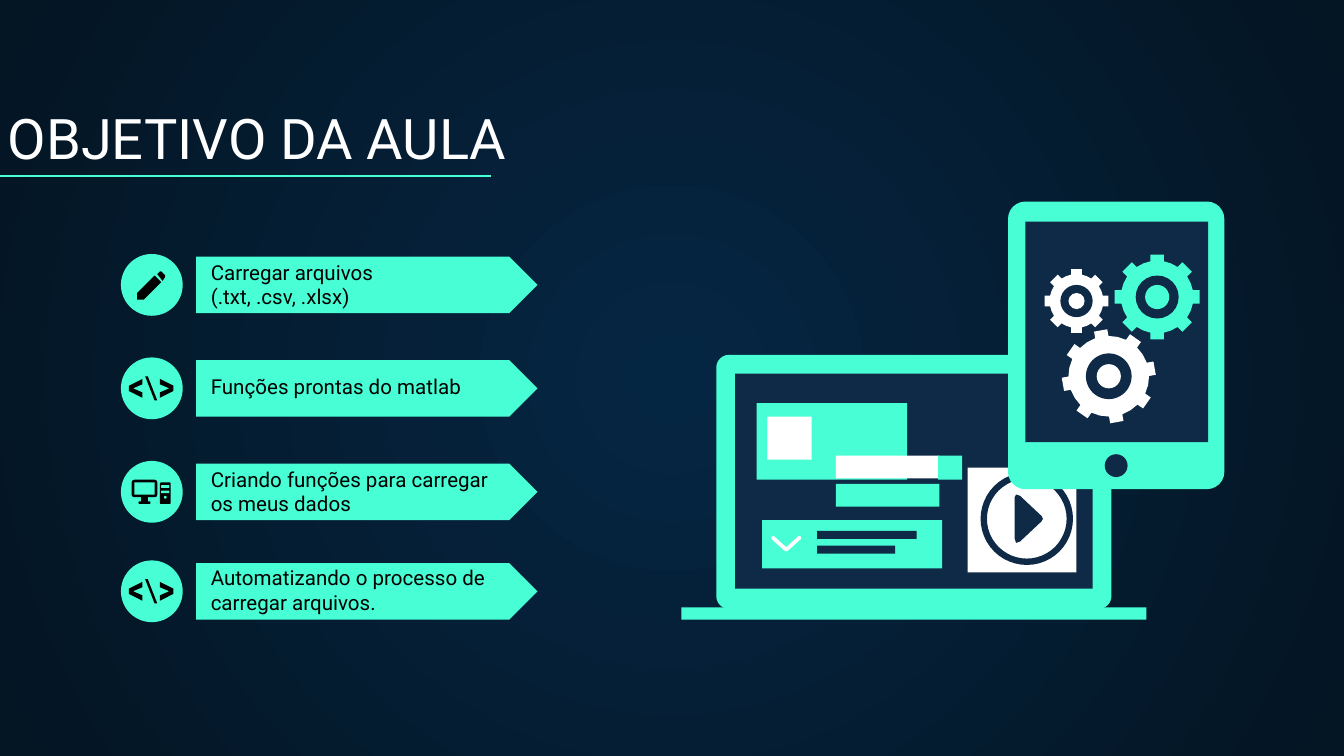
"""Build the lesson-goals slide with a laptop and tablet illustration."""
import math

import lxml.etree
import pptx
import pptx.dml.color
import pptx.enum.shapes
import pptx.enum.text
import pptx.oxml.ns
import pptx.util

Inches = pptx.util.Inches
Pt = pptx.util.Pt
RGBColor = pptx.dml.color.RGBColor
KIND = pptx.enum.shapes.MSO_SHAPE
qn = pptx.oxml.ns.qn

COLORS = {
    "mint": "48FFD5",
    "navy": "0E2A47",
    "white": "FFFFFF",
    "black": "000000",
    "center": "052643",
    "edge": "041523",
}
COLORS = {name: RGBColor.from_string(value) for name, value in COLORS.items()}

presentation = pptx.Presentation()
presentation.slide_width = Inches(10)
presentation.slide_height = Inches(10) * 9 // 16
slide = presentation.slides.add_slide(presentation.slide_layouts[6])

background = slide.background.fill
background.gradient()
for stop, name in zip(background.gradient_stops, ("center", "edge")):
    stop.color.rgb = COLORS[name]
gradient = slide.element.find(".//" + qn("a:gradFill"))
gradient.remove(gradient.find(qn("a:lin")))
circle_path = lxml.etree.SubElement(gradient, qn("a:path"), path="circle")
lxml.etree.SubElement(circle_path, qn("a:fillToRect"), l="50000", t="50000", r="50000", b="50000")


def draw(color, geometry, kind=None, corner=None, closed=True):
    """Draw a preset in a box, or a freeform through points when no kind is given."""
    if kind is None:
        points = [(Inches(x), Inches(y)) for x, y in geometry]
        builder = slide.shapes.build_freeform(*points[0])
        builder.add_line_segments(points[1:], close=closed)
        shape = builder.convert_to_shape()
    else:
        shape = slide.shapes.add_shape(kind, *map(Inches, geometry))
    if corner is not None:
        shape.adjustments[0] = corner
    shape.shadow.inherit = False
    shape.fill.solid()
    shape.fill.fore_color.rgb = COLORS[color]
    shape.line.fill.background()
    return shape


def write(text, box, size, color):
    """Add a bottom-anchored text box."""
    text_frame = slide.shapes.add_textbox(*map(Inches, box)).text_frame
    text_frame.word_wrap = True
    text_frame.vertical_anchor = pptx.enum.text.MSO_ANCHOR.BOTTOM
    text_frame.margin_left = text_frame.margin_right = Inches(0.1)
    text_frame.margin_top = text_frame.margin_bottom = Inches(0.1)
    text_frame.text = text
    for run in text_frame.paragraphs[0].runs:
        run.font.name = "Roboto"
        run.font.size = Pt(size)
        run.font.color.rgb = COLORS[color]


write("OBJETIVO DA AULA", (-0.04, 0.71, 8.57, 0.66), 30, "white")
underline = slide.shapes.add_connector(
    pptx.enum.shapes.MSO_CONNECTOR.STRAIGHT, Inches(0), Inches(1.31), Inches(3.65), Inches(1.31)
)
underline.line.color.rgb = COLORS["mint"]
underline.line.width = Pt(0.75)
lxml.etree.SubElement(underline.element.spPr, qn("a:effectLst"))

goals = [
    (1.91, "Carregar arquivos \v(.txt, .csv, .xlsx)", 2.19, 2.52),
    (2.68, "Funções prontas do matlab", 2.85, 2.34),
    (3.45, "Criando funções para carregar os meus dados", 3.73, 2.27),
    (4.19, "Automatizando o processo de carregar arquivos.", 4.46, 2.34),
]
for top, text, text_top, text_width in goals:
    draw("mint", (1.46, top, 2.54, 0.42), KIND.PENTAGON, 0.5)
    draw("mint", (0.9, top - 0.02, 0.46, 0.46), KIND.OVAL)
    write(text, (1.47, text_top, text_width, 0.21), 11, "black")

draw("black", [(1.15, 2.05), (1.02, 2.18), (1.02, 2.23), (1.07, 2.23), (1.2, 2.1)])
draw("black", [(1.17, 2.04), (1.19, 2.02), (1.2, 2.02), (1.23, 2.05), (1.23, 2.06), (1.21, 2.09)])

chevron = [(0.06, 0.16), (-0.04, 0.11), (-0.04, 0.07), (0.06, 0.02),
           (0.06, 0.06), (-0.01, 0.09), (0.06, 0.12)]
backslash = [(0.15, 0.18), (0.08, 0), (0.1, 0), (0.17, 0.18)]
for top in (2.8, 4.31):
    draw("black", [(1 + x, top + y) for x, y in chevron])
    draw("black", [(1 + x, top + y) for x, y in backslash])
    draw("black", [(1.25 - x, top + y) for x, y in chevron])

computer = [
    ("black", (0.98, 3.57, 0.19, 0.13), 0.15),
    ("mint", (1, 3.59, 0.15, 0.09), 0),
    ("black", (1.05, 3.69, 0.05, 0.05), 0),
    ("black", (1.03, 3.73, 0.09, 0.02), 0.5),
    ("black", (1.19, 3.59, 0.08, 0.16), 0.1),
    ("mint", (1.2, 3.61, 0.06, 0.02), 0.2),
    ("mint", (1.2, 3.65, 0.06, 0.02), 0.2),
    ("mint", (1.22, 3.69, 0.02, 0.02), 0.5),
]
for color, box, corner in computer:
    draw(color, box, KIND.ROUNDED_RECTANGLE, corner)

draw("mint", (5.33, 2.64, 2.94, 1.89), KIND.ROUNDED_RECTANGLE, 0.05)
laptop_panels = [
    ("navy", (5.47, 2.78, 2.66, 1.6)),
    ("mint", (5.07, 4.52, 3.46, 0.09)),
    ("mint", (5.63, 3, 1.12, 0.57)),
    ("white", (5.71, 3.1, 0.33, 0.32)),
    ("mint", (5.67, 3.87, 1.34, 0.36)),
    ("navy", (6.08, 3.95, 0.74, 0.06)),
    ("navy", (6.08, 4.06, 0.58, 0.06)),
    ("mint", (6.22, 3.6, 0.77, 0.17)),
    ("white", (6.22, 3.39, 0.77, 0.17)),
    ("mint", (6.98, 3.39, 0.18, 0.18)),
    ("white", (7.2, 3.48, 0.81, 0.78)),
]
for color, box in laptop_panels:
    draw(color, box, KIND.RECTANGLE)

check = draw("white", [(5.75, 4), (5.85, 4.09), (5.95, 4)], closed=False)
check.fill.background()
check.line.color.rgb = COLORS["white"]
check.line.width = Pt(2)
check.element.spPr.find(qn("a:ln")).set("cap", "rnd")

play_ring = draw("white", (7.32, 3.54, 0.64, 0.64), KIND.OVAL)
play_ring.line.color.rgb = COLORS["navy"]
play_ring.line.width = Pt(3.4)
draw("navy", [(7.55, 3.7), (7.56, 3.68), (7.59, 3.69), (7.75, 3.84), (7.76, 3.86),
              (7.75, 3.88), (7.59, 4.03), (7.56, 4.04), (7.55, 4.01)])

draw("mint", (7.5, 1.5, 1.61, 2.14), KIND.ROUNDED_RECTANGLE, 0.08)
draw("navy", (7.63, 1.65, 1.36, 1.64), KIND.RECTANGLE)
draw("navy", (8.22, 3.38, 0.17, 0.17), KIND.OVAL)

gears = [
    ("mint", 8.61, 2.21, 0.32, 0.27, 0.05, 0.16, 0.09, 0),
    ("white", 8.01, 2.24, 0.24, 0.2, 0.04, 0.12, 0.06, 0),
    ("white", 8.25, 2.8, 0.35, 0.3, 0.05, 0.17, 0.09, -10),
]
for color, x, y, tip, body, half_tooth, ring, hub, turn in gears:
    tip_angle = math.asin(half_tooth / tip)
    body_angle = math.asin(half_tooth / body)
    outline = []
    for tooth in range(8):
        angle = math.radians(45 * tooth + turn)
        for radius, offset in ((body, -body_angle), (tip, -tip_angle), (tip, tip_angle),
                               (body, body_angle), (body, math.pi / 8)):
            outline.append((x + radius * math.cos(angle + offset), y + radius * math.sin(angle + offset)))
    draw(color, outline)
    for radius, fill in ((ring, "navy"), (hub, color)):
        draw(fill, (x - radius, y - radius, 2 * radius, 2 * radius), KIND.OVAL)

presentation.save("out.pptx")
